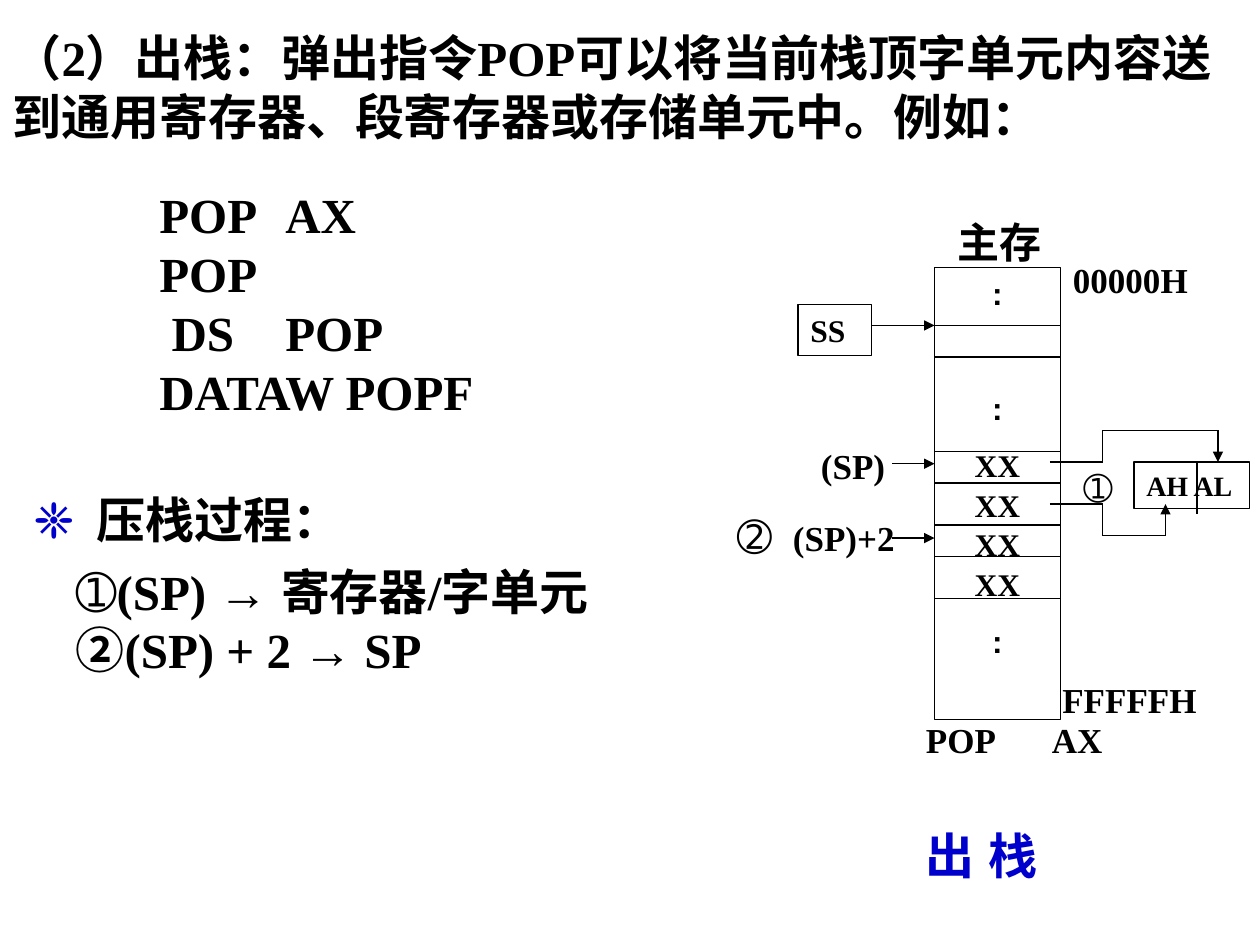
import itertools

import pptx
import pptx.dml.color
import pptx.enum.shapes
import pptx.enum.text
import pptx.oxml
import pptx.oxml.ns
import pptx.util

COLORS = {"ink": "000000", "accent": "0000CC"}
SERIF, SANS = "Times New Roman", "Arial"
Pt = pptx.util.Pt
ALIGN = pptx.enum.text.PP_ALIGN


def rgb(name):
    return pptx.dml.color.RGBColor.from_string(COLORS[name])


def add_xml(parent, tag, **attrs):
    el = pptx.oxml.parse_xml(f"<a:{tag} {pptx.oxml.ns.nsdecls('a')}/>")
    for key, value in attrs.items():
        el.set(key, str(value))
    parent.append(el)
    return el


class Sketch:
    """Holds the slide and the common style of its elements."""

    line_width = 0.75
    frame = {"margin_left": Pt(7.2), "margin_right": Pt(7.2),
             "margin_top": Pt(3.6), "margin_bottom": Pt(3.6),
             "word_wrap": True,
             "auto_size": pptx.enum.text.MSO_AUTO_SIZE.NONE,
             "vertical_anchor": pptx.enum.text.MSO_ANCHOR.TOP}

    def __init__(self, s):
        self.s = s

    def set_text(self, sp, paragraphs, size, align=ALIGN.LEFT, tabs=(), gaps=None):
        """Fill a shape; each paragraph is a list of (text, font, colour) runs."""
        tf = sp.text_frame
        for key, value in self.frame.items():
            setattr(tf, key, value)
        gaps = gaps or [size * 0.625] + [0] * (len(paragraphs) - 1)
        for i, (runs, gap) in enumerate(zip(paragraphs, gaps)):
            p = tf.paragraphs[0] if i == 0 else tf.add_paragraph()
            p.alignment, p.space_before = align, Pt(gap)
            pPr = p._p.get_or_add_pPr()
            pPr.set("marL", "0")
            pPr.set("indent", "0")
            add_xml(pPr, "buNone")
            if tabs:
                stops = add_xml(pPr, "tabLst")
                for pos in tabs:
                    add_xml(stops, "tab", pos=int(Pt(pos)), algn="l")
            for text, font, color in runs:
                r = p.add_run()
                r.text = text
                style = {"name": font, "size": Pt(size), "bold": True}
                for key, value in style.items():
                    setattr(r.font, key, value)
                r.font.color.rgb = rgb(color)
        return sp

    def placeholder(self, sp, box, *args, **kwargs):
        sp.left, sp.top, sp.width, sp.height = map(Pt, box)
        return self.set_text(sp, *args, **kwargs)

    def text(self, box, *args, **kwargs):
        return self.set_text(self.s.shapes.add_textbox(*map(Pt, box)), *args, **kwargs)

    def label(self, box, text, size, font=SERIF, color="ink", tabs=()):
        return self.text(box, [[(text, font, color)]], size, tabs=tabs)

    def rect(self, box, *args, **kwargs):
        kind = pptx.enum.shapes.MSO_SHAPE.RECTANGLE
        sp = self.s.shapes.add_shape(kind, *map(Pt, box))
        sp.shadow.inherit = False
        sp.fill.background()
        sp.line.color.rgb = rgb("ink")
        sp.line.width = Pt(self.line_width)
        return self.set_text(sp, *args, **kwargs)

    def line(self, *points, arrow=False):
        """Join the points with straight segments, the last one with an arrowhead."""
        kind = pptx.enum.shapes.MSO_CONNECTOR.STRAIGHT
        for start, end in itertools.pairwise(points):
            c = self.s.shapes.add_connector(kind, *map(Pt, start + end))
            c.line.color.rgb = rgb("ink")
            c.line.width = Pt(self.line_width)
            spPr = c._element.spPr
            if arrow and end == points[-1]:
                add_xml(spPr.get_or_add_ln(), "tailEnd", type="triangle")
            add_xml(spPr, "effectLst")


def draw_memory(sk):
    left, right = 534, 606
    colon, word = [(":", SANS, "ink")], [("XX", SERIF, "ink")]
    sk.rect((left, 153, right - left, 258), [colon] * 2 + [word] * 4 + [colon], 18,
            align=ALIGN.CENTER, gaps=[11.25, 44, 11.25, 1, 1, 1, 11.25])
    for y in (186, 204, 258, 276, 300, 318, 342):
        sk.line((left, y), (right, y))
    for x, y in ((498, 186), (510, 265), (510, 307.5)):
        sk.line((x, y), (left, y), arrow=True)

    sk.label((540, 120, 84, 36), "主存", 24)
    sk.label((606, 144, 90, 31.5), "00000H", 20)
    sk.label((600, 384, 102, 31.5), "FFFFFH", 20)
    sk.label((522, 407, 120, 31.5), "POP\tAX", 20, tabs=[48])
    sk.label((462, 250.5, 96, 31.5), "(SP)", 20)
    sk.label((414, 288, 36, 36), "➁", 24, SANS)
    sk.label((446, 291.5, 90, 31.5), "(SP)+2", 20)
    sk.rect((456, 174, 42, 29), [[("SS", SERIF, "ink")]], 18)


def draw_register(sk):
    sk.rect((648, 264, 66, 26.5), [[("AH AL", SERIF, "ink")]], 16)
    sk.line((684, 264), (684, 294))
    sk.label((612, 263, 24, 31.5), "➀", 20, SANS)
    sk.line((600, 264), (630, 264), (630, 246), (696, 246), (696, 264), arrow=True)
    sk.line((600, 288), (630, 288), (630, 306), (666, 306), (666, 288), arrow=True)


def main():
    prs = pptx.Presentation()
    prs.slide_width, prs.slide_height = Pt(720), Pt(540)
    s = prs.slides.add_slide(prs.slide_layouts[1])
    sk = Sketch(s)

    sk.placeholder(s.shapes.title, (0, 12, 702, 75), [[(
        "（2）出栈：弹出指令POP可以将当前栈顶字单元内容"
        "送到通用寄存器、段寄存器或存储单元中。例如：", SERIF, "ink")]], 28)
    code = ["POP\tAX\tPOP", " DS\tPOP", "DATAW POPF"]
    sk.text((84, 102, 198, 142), [[(row, SERIF, "ink")] for row in code], 28,
            tabs=[67, 128])
    draw_memory(sk)
    draw_register(sk)

    sk.label((522, 468, 180, 41), "出\t栈", 28, color="accent", tabs=[46])
    sk.text((12, 276, 348, 41), [[("❈\t", SANS, "accent"),
                                  ("压栈过程：", SERIF, "ink")]], 28, tabs=[35])
    steps = [("➀", SANS), ("(SP) ", SERIF), ("→ ", SANS), ("寄存器/字单元 ", SERIF),
             ("➁", SANS), ("(SP) + 2 ", SERIF), ("→", SANS), (" SP", SERIF)]
    sk.placeholder(s.placeholders[1], (36, 317, 324, 75),
                   [[(text, font, "ink") for text, font in steps]], 28)
    prs.save("out.pptx")


if __name__ == "__main__":
    main()
